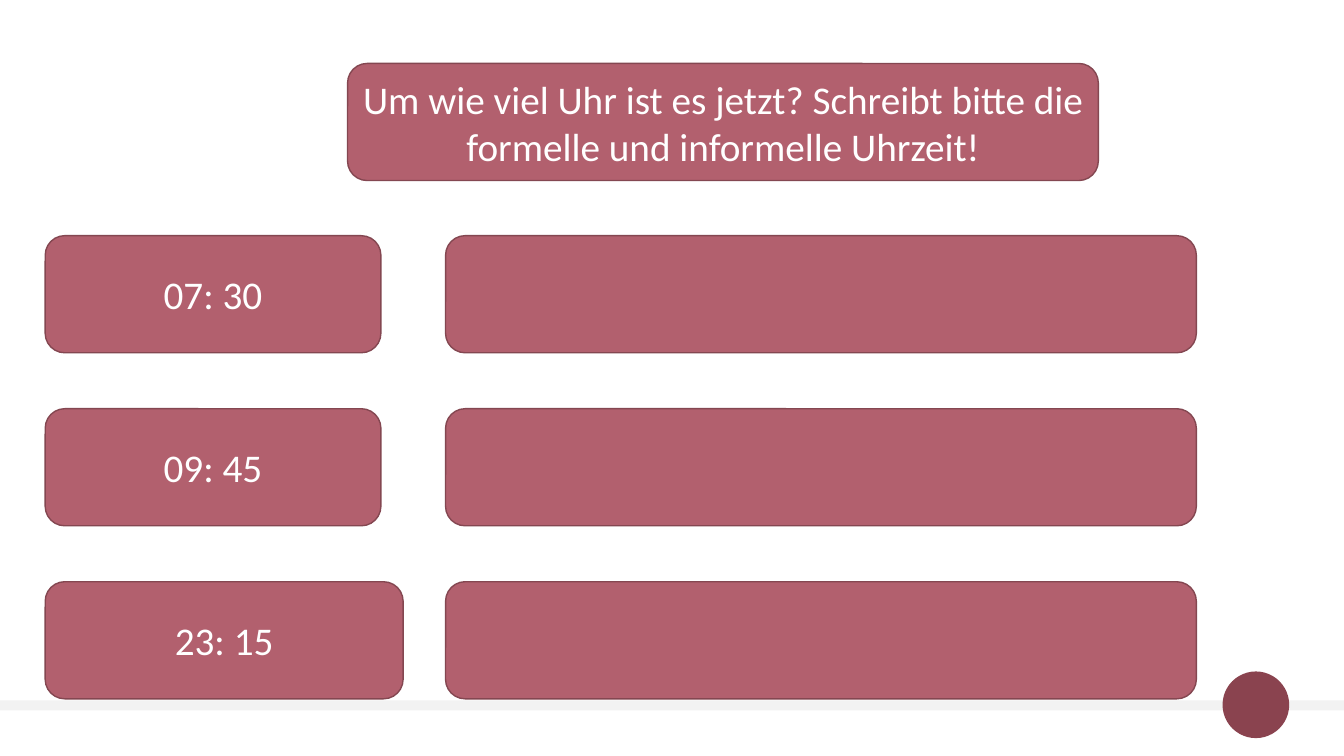
from pptx import Presentation
from pptx.dml.color import RGBColor
from pptx.enum.shapes import MSO_SHAPE as SHAPE
from pptx.enum.text import MSO_ANCHOR as ANCHOR, MSO_AUTO_SIZE as AUTOSIZE, PP_ALIGN as ALIGN
from pptx.util import Cm, Pt

ROSE = RGBColor(0xB2, 0x60, 0x6E)
EDGE = RGBColor(0x84, 0x47, 0x51)
WINE = RGBColor(0x8A, 0x43, 0x4F)
GREY = RGBColor(0xF2, 0xF2, 0xF2)
WHITE = RGBColor(0xFF, 0xFF, 0xFF)

SLIDE_W, SLIDE_H = 33.87, 19.05
BOX_H = 2.95
WIDE = 18.92
TIME_X, ANSWER_X = 1.14, 11.23
FIRST_ROW, ROW_STEP = 5.94, 4.36
TITLE_AREA = (8.76, 1.6, WIDE, BOX_H)


class ClockSlide:
    font = "Calibri"
    size = Pt(28)

    def __init__(self, prs):
        self.slide = prs.slides.add_slide(prs.slide_layouts[5])

    def shape(self, kind, area, fill, line=None):
        sp = self.slide.shapes.add_shape(kind, *map(Cm, area))
        sp.shadow.inherit = False
        sp.fill.solid()
        sp.fill.fore_color.rgb = fill
        if line is None:
            sp.line.fill.background()
        else:
            sp.line.color.rgb = line
            sp.line.width = Pt(1)
        return sp

    def label(self, sp, text):
        tf = sp.text_frame
        tf.text = text
        tf.word_wrap = True
        tf.auto_size = AUTOSIZE.NONE
        tf.vertical_anchor = ANCHOR.MIDDLE
        p = tf.paragraphs[0]
        p.alignment = ALIGN.CENTER
        p.line_spacing = 1.0
        r = p.runs[0]
        r.font.name = self.font
        r.font.size = self.size
        r.font.color.rgb = WHITE

    def box(self, area, text=""):
        sp = self.shape(SHAPE.ROUNDED_RECTANGLE, area, ROSE, EDGE)
        if text:
            self.label(sp, text)

    def title(self, area, text):
        self.box(area)
        sp = self.slide.shapes.title
        sp.left, sp.top, sp.width, sp.height = map(Cm, area)
        self.label(sp, text)
        self.slide.shapes._spTree.append(sp._element)


def main():
    prs = Presentation()
    prs.slide_width, prs.slide_height = Cm(SLIDE_W), Cm(SLIDE_H)
    s = ClockSlide(prs)
    s.shape(SHAPE.RECTANGLE, (0, 17.65, SLIDE_W, 0.25), GREY)
    s.shape(SHAPE.OVAL, (30.81, 16.92, 1.68, 1.68), WINE)
    s.title(TITLE_AREA, "Um wie viel Uhr ist es jetzt? Schreibt bitte die formelle und informelle Uhrzeit!")
    times = [("07: 30", 8.46), ("09: 45", 8.46), ("23: 15", 9.02)]
    for row, (time, width) in enumerate(times):
        top = FIRST_ROW + row * ROW_STEP
        s.box((TIME_X, top, width, BOX_H), time)
        s.box((ANSWER_X, top, WIDE, BOX_H))
    prs.save("out.pptx")


if __name__ == "__main__":
    main()
